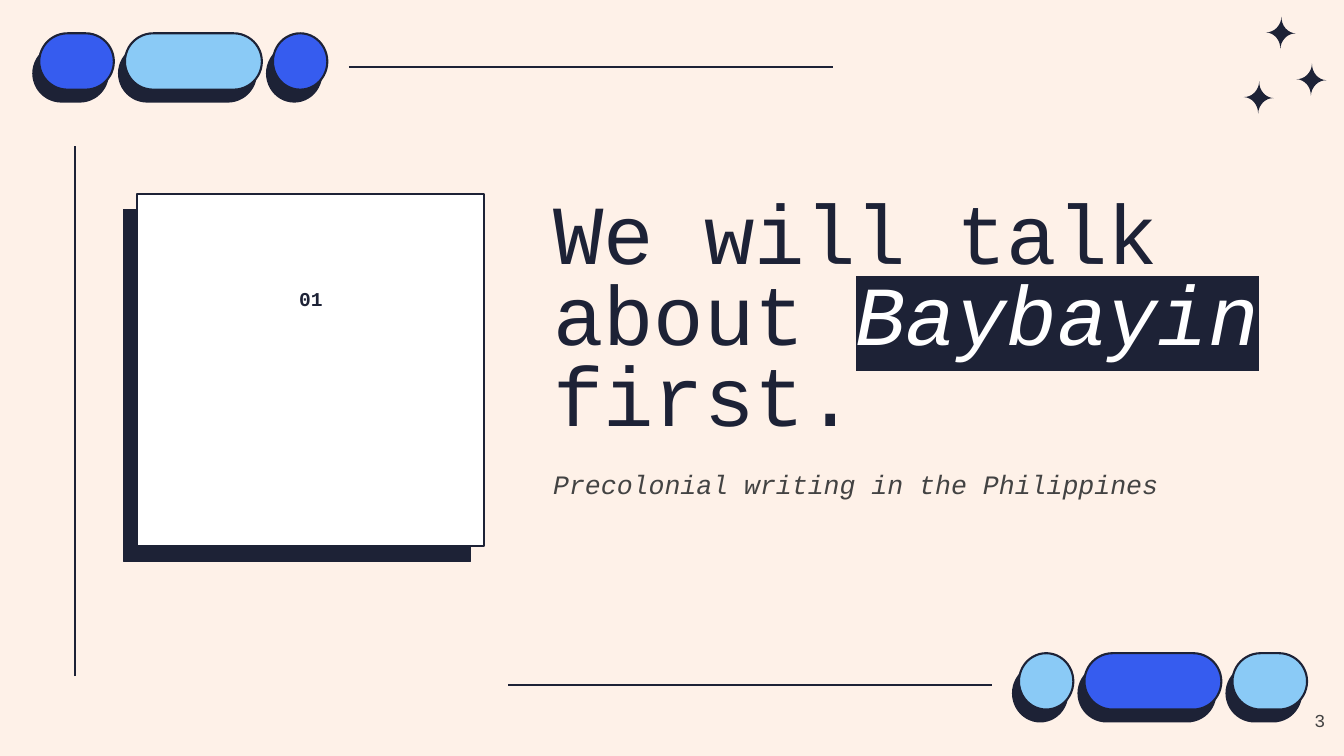
from dataclasses import dataclass, field
from math import cos, pi, sin
from typing import Any

from lxml.etree import SubElement
from pptx import Presentation
from pptx.dml.color import RGBColor
from pptx.enum.shapes import MSO_CONNECTOR as Link, MSO_SHAPE as Preset
from pptx.enum.text import MSO_ANCHOR as Anchor, PP_ALIGN as Align
from pptx.oxml.ns import qn
from pptx.util import Cm, Pt

CREAM = RGBColor(0xFE, 0xF1, 0xE8)
NAVY = RGBColor(0x1D, 0x22, 0x36)
BLUE = RGBColor(0x36, 0x5C, 0xEF)
SKY = RGBColor(0x8A, 0xCA, 0xF6)
WHITE = RGBColor(0xFF, 0xFF, 0xFF)
GREY = RGBColor(0x43, 0x43, 0x43)
FONT = "Courier New"

PILL_HEIGHT = 1.42
PILL_GAP = 0.28
PILL_SHADOW = (-0.15, 0.3)


@dataclass
class Box:
    left: float
    top: float
    width: float
    height: float


@dataclass
class Pill:
    width: float
    color: RGBColor
    preset: Any = Preset.ROUNDED_RECTANGLE


@dataclass
class PillRow:
    left: float
    top: float
    pills: list[Pill]


@dataclass
class Rule:
    start: tuple[float, float]
    end: tuple[float, float]


@dataclass
class Run:
    text: str
    size: float
    color: RGBColor = NAVY
    bold: bool = False
    italic: bool = False
    highlight: RGBColor | None = None


@dataclass
class Caption:
    box: Box
    run: Run
    inset: float = 0.33
    paragraph: dict[str, Any] = field(default_factory=dict)


PILL_ROWS = [
    PillRow(0.99, 0.84, [Pill(1.88, BLUE), Pill(3.45, SKY), Pill(1.37, BLUE, Preset.OVAL)]),
    PillRow(25.68, 16.46, [Pill(1.37, SKY, Preset.OVAL), Pill(3.45, BLUE), Pill(1.88, SKY)]),
]
RULES = [
    Rule((1.9, 17.04), (1.9, 3.68)),
    Rule((8.79, 1.68), (20.98, 1.68)),
    Rule((24.99, 17.27), (12.8, 17.27)),
]
SPARKLES = [(31.72, 2.46), (32.28, 0.83), (33.05, 2.01)]
HEADING_BOX = Box(13.61, 4.72, 18.92, 5.74)
HEADING = [
    Run("We will talk about ", 60),
    Run("Baybayin", 60, WHITE, italic=True, highlight=NAVY),
    Run(" first.", 60),
]
CAPTIONS = [
    Caption(Box(13.61, 11.35, 17.58, 2.11),
            Run("Precolonial writing in the Philippines", 19, GREY, italic=True),
            paragraph={"line_spacing": 1.15}),
    Caption(Box(31.7, 17.6, 2.03, 1.45), Run("3", 13, GREY),
            paragraph={"alignment": Align.RIGHT}),
    Caption(Box(4.75, 7.11, 6.17, 4.83), Run("01", 14, bold=True), 0.13,
            {"alignment": Align.CENTER}),
]


def assign(target: Any, values: dict[str, Any]) -> None:
    for key, value in values.items():
        setattr(target, key, value)


def extent(box: Box) -> list[Cm]:
    return [Cm(box.left), Cm(box.top), Cm(box.width), Cm(box.height)]


def paint(shape: Any, color: RGBColor, outline: float = 1.5) -> None:
    shape.shadow.inherit = False
    shape.fill.solid()
    shape.fill.fore_color.rgb = color
    if outline:
        shape.line.color.rgb = NAVY
        shape.line.width = Pt(outline)
    else:
        shape.line.fill.background()


def draw_shape(slide: Any, preset: Any, box: Box, color: RGBColor, outline: float = 1.5) -> None:
    shape = slide.shapes.add_shape(preset, *extent(box))
    if preset == Preset.ROUNDED_RECTANGLE:
        shape.adjustments[0] = 0.5
    paint(shape, color, outline)


def draw_pills(slide: Any, row: PillRow) -> None:
    left = row.left
    dx, dy = PILL_SHADOW
    for pill in row.pills:
        for x, y, color in ((left + dx, row.top + dy, NAVY), (left, row.top, pill.color)):
            draw_shape(slide, pill.preset, Box(x, y, pill.width, PILL_HEIGHT), color)
        left += pill.width + PILL_GAP


def draw_rule(slide: Any, rule: Rule) -> None:
    ends = [Cm(value) for value in (*rule.start, *rule.end)]
    connector = slide.shapes.add_connector(Link.STRAIGHT, *ends)
    assign(connector.line, {"width": Pt(1.5)})
    connector.line.color.rgb = NAVY
    SubElement(connector.element.spPr, qn("a:effectLst"))


def draw_sparkle(slide: Any, center: tuple[float, float]) -> None:
    x, y = center
    points = []
    for sx, sy in ((1, 1), (-1, 1), (-1, -1), (1, -1)):
        arc = [(1 - cos(step * pi / 16), 1 - sin(step * pi / 16)) for step in range(9)]
        if sx == sy:
            arc.reverse()
        points += [(Cm(x + 0.38 * sx * u), Cm(y + 0.41 * sy * v)) for u, v in arc]
    outline = slide.shapes.build_freeform(*points[0])
    outline.add_line_segments(points[1:])
    sparkle = outline.convert_to_shape()
    paint(sparkle, NAVY, 0)
    sparkle.rotation = 2


def add_run(paragraph: Any, content: Run) -> None:
    run = paragraph.add_run()
    run.text = content.text
    assign(run.font, {"name": FONT, "size": Pt(content.size),
                      "bold": content.bold, "italic": content.italic})
    run.font.color.rgb = content.color
    if content.highlight is not None:
        properties = run.font._element
        highlight = SubElement(properties, qn("a:highlight"))
        SubElement(highlight, qn("a:srgbClr"), val=str(content.highlight))
        properties.find(qn("a:solidFill")).addnext(highlight)


def fill_text(shape: Any, runs: list[Run], inset: float, style: dict[str, Any]) -> None:
    frame = shape.text_frame
    sides = ("left", "top", "right", "bottom")
    assign(frame, {f"margin_{side}": Cm(inset) for side in sides})
    assign(frame, {"word_wrap": True, "vertical_anchor": Anchor.TOP})
    paragraph = frame.paragraphs[0]
    assign(paragraph, style)
    for run in runs:
        add_run(paragraph, run)


def main() -> None:
    deck = Presentation()
    assign(deck, {"slide_width": Cm(33.87), "slide_height": Cm(19.05)})
    slide = deck.slides.add_slide(deck.slide_layouts[5])
    slide.background.fill.solid()
    slide.background.fill.fore_color.rgb = CREAM

    for center in SPARKLES:
        draw_sparkle(slide, center)
    for rule in RULES:
        draw_rule(slide, rule)
    for row in PILL_ROWS:
        draw_pills(slide, row)
    draw_shape(slide, Preset.RECTANGLE, Box(3.12, 5.28, 8.74, 8.86), NAVY, 0.75)
    draw_shape(slide, Preset.RECTANGLE, Box(3.45, 4.9, 8.74, 8.86), WHITE)

    heading = slide.shapes.title
    assign(heading, dict(zip(("left", "top", "width", "height"), extent(HEADING_BOX))))
    fill_text(heading, HEADING, 0.33, {"alignment": Align.LEFT, "line_spacing": 0.8})
    for caption in CAPTIONS:
        text_box = slide.shapes.add_textbox(*extent(caption.box))
        fill_text(text_box, [caption.run], caption.inset, caption.paragraph)
    deck.save("out.pptx")


if __name__ == "__main__":
    main()
